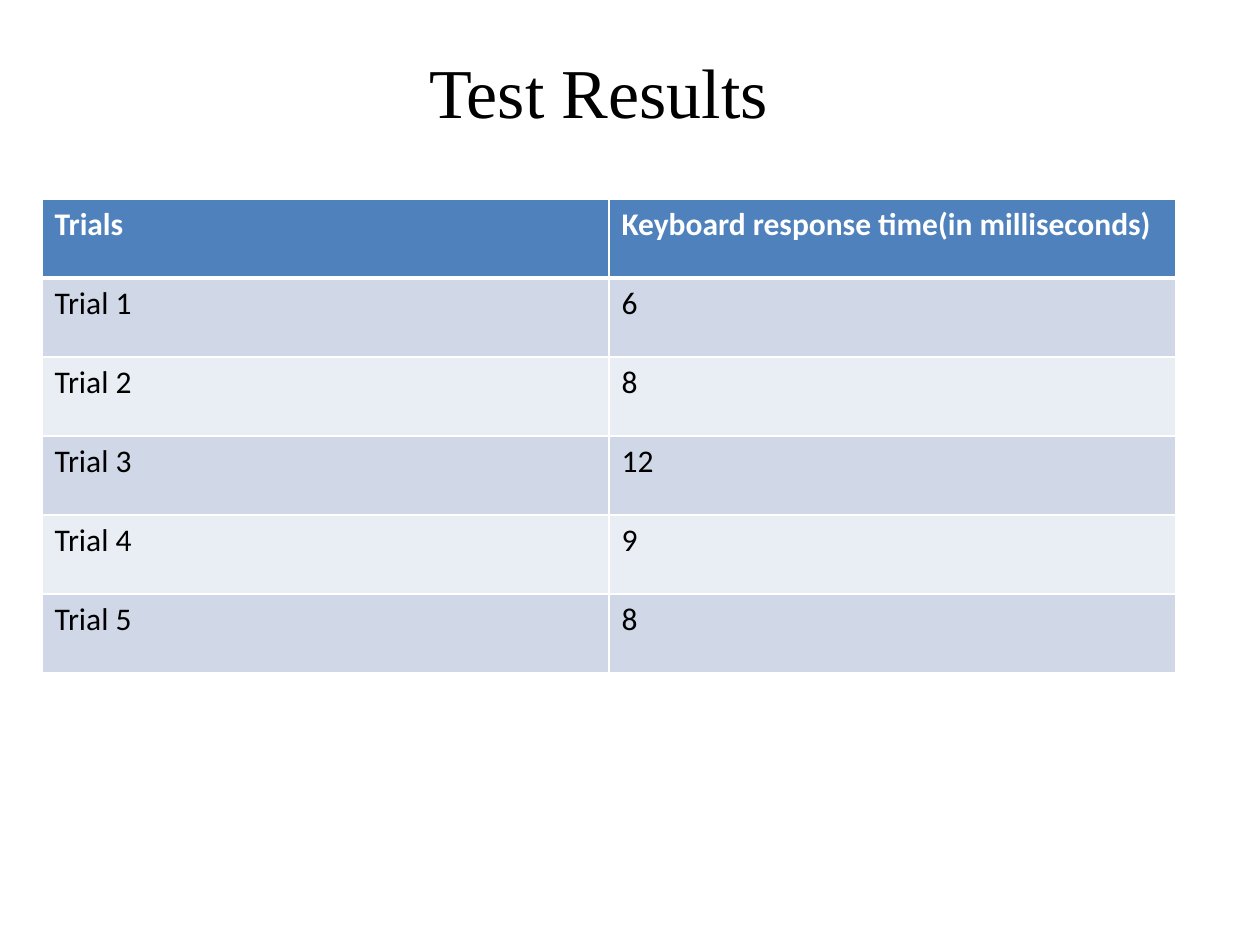
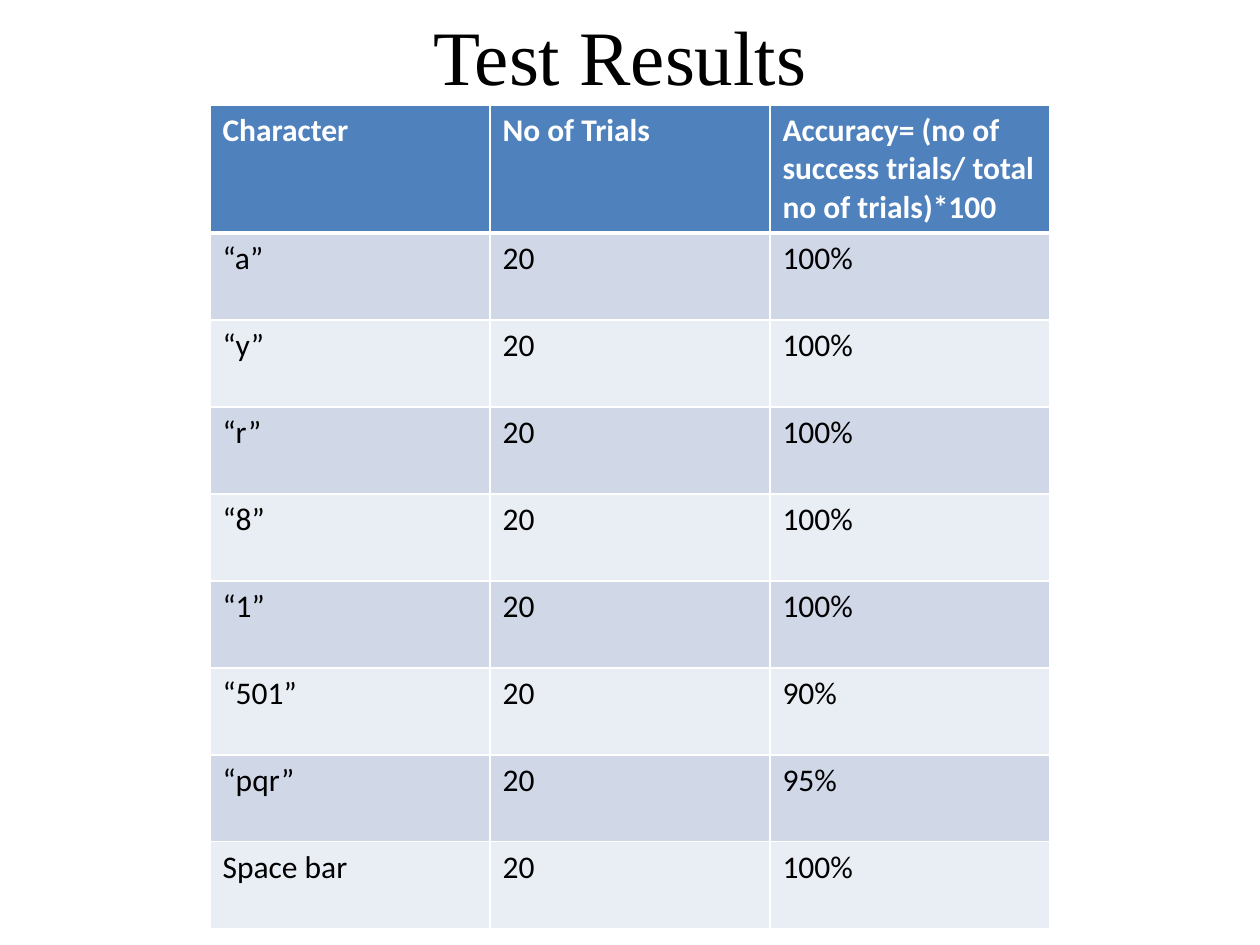
"""Build two slides of keyboard test results, each a title above a table."""
from dataclasses import dataclass

from lxml.etree import SubElement
from pptx import Presentation
from pptx.dml.color import RGBColor
from pptx.enum.text import MSO_ANCHOR, MSO_AUTO_SIZE, PP_ALIGN
from pptx.oxml.ns import qn
from pptx.util import Emu, Pt


@dataclass(frozen=True)
class Theme:
    title_font: str = "Times New Roman"
    table_font: str = "Calibri"
    table_size: int = 18
    text: str = "000000"
    header_text: str = "FFFFFF"
    header_fill: str = "4F81BD"
    bands: tuple = ("D0D8E8", "E9EDF4")
    border: str = "FFFFFF"
    thin: int = 1
    thick: int = 3


theme = Theme()

result_slides = [
    {
        "title_box": (42, 42, 1113, 97),
        "title_size": 40,
        "table_box": (42, 199, 1134, 474),
        "header_height": 79,
        "rows": [("Trials", "Keyboard response time(in milliseconds)")]
        + [(f"Trial {number}", time) for number, time in enumerate(("6", "8", "12", "9", "8"), 1)],
    },
    {
        "title_box": (53, 0, 1134, 110),
        "title_size": 44,
        "table_box": (210, 105, 840, 822),
        "header_height": 126,
        "rows": [
            ("Character", "No of Trials", "Accuracy= (no of success trials/ total no of trials)*100"),
            ("“a”", "20", "100%"),
            ("“y”", "20", "100%"),
            ("“r”", "20", "100%"),
            ("“8”", "20", "100%"),
            ("“1”", "20", "100%"),
            ("“501”", "20", "90%"),
            ("“pqr”", "20", "95%"),
            ("Space bar", "20", "100%"),
        ],
    },
]


def px(length):
    return Emu(round(length * 914400 / 126))


def add_run(paragraph, text, font_name, size, color, bold=False):
    run = paragraph.add_run()
    run.text = text
    run.font.name = font_name
    run.font.size = Pt(size)
    run.font.bold = bold
    run.font.color.rgb = RGBColor.from_string(color)


presentation = Presentation()
presentation.slide_width, presentation.slide_height = px(1260), px(945)
title_only = presentation.slide_layouts[5]

for result in result_slides:
    slide = presentation.slides.add_slide(title_only)

    title = slide.shapes.title
    title.left, title.top, title.width, title.height = map(px, result["title_box"])
    title.text_frame.auto_size = MSO_AUTO_SIZE.NONE
    title.text_frame.vertical_anchor = MSO_ANCHOR.MIDDLE
    paragraph = title.text_frame.paragraphs[0]
    paragraph.alignment = PP_ALIGN.CENTER
    add_run(paragraph, "Test Results", theme.title_font, result["title_size"], theme.text)

    rows = result["rows"]
    left, top, width, height = map(px, result["table_box"])
    table = slide.shapes.add_table(len(rows), len(rows[0]), left, top, width, height).table
    header_height = px(result["header_height"])
    for column in table.columns:
        column.width = width // len(rows[0])
    for row_index, row in enumerate(table.rows):
        is_header = row_index == 0
        row.height = header_height if is_header else (height - header_height) // (len(rows) - 1)
        fill = theme.header_fill if is_header else theme.bands[(row_index - 1) % 2]
        color = theme.header_text if is_header else theme.text
        borders = {
            "a:lnL": theme.thin,
            "a:lnR": theme.thin,
            "a:lnT": theme.thick if row_index == 1 else theme.thin,
            "a:lnB": theme.thick if is_header else theme.thin,
        }
        for cell, text in zip(row.cells, rows[row_index]):
            properties = cell._tc.get_or_add_tcPr()
            for side, line_width in borders.items():
                line = SubElement(properties, qn(side), w=str(Pt(line_width)))
                SubElement(SubElement(line, qn("a:solidFill")), qn("a:srgbClr"), val=theme.border)
            cell.fill.solid()
            cell.fill.fore_color.rgb = RGBColor.from_string(fill)
            add_run(cell.text_frame.paragraphs[0], text, theme.table_font, theme.table_size, color, is_header)

presentation.save("out.pptx")
